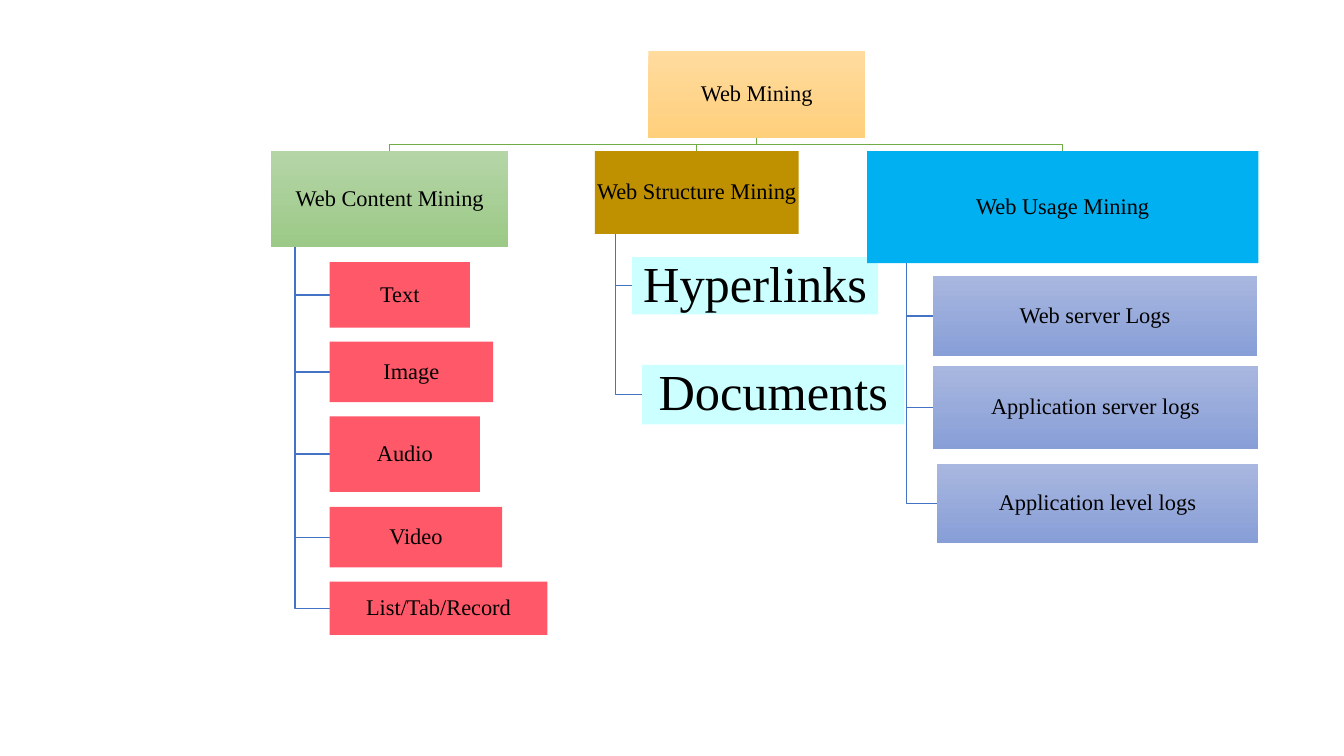
from dataclasses import dataclass

from pptx import Presentation
from pptx.dml.color import RGBColor
from pptx.enum.shapes import MSO_SHAPE
from pptx.enum.text import MSO_ANCHOR, PP_ALIGN
from pptx.util import Inches, Pt

COLORS = {
    "text": "000000",
    "root_line": "70AD47",
    "branch_line": "4472C4",
    "root": ("FFDB9E", "FFD07C"),
    "content": ("B5D5A7", "9CC987"),
    "content_leaf": "FF5969",
    "structure": "BF9000",
    "structure_leaf": "CCFFFF",
    "usage": "00B0F0",
    "usage_leaf": ("A8B7DF", "889ED7"),
}


@dataclass
class Node:
    text: str
    left: float
    top: float
    width: float
    height: float
    color: str
    size: int = 16
    inset: float = 0.01
    children: tuple = ()

    @property
    def center(self):
        return self.left + self.width / 2

    @property
    def middle(self):
        return self.top + self.height / 2

    @property
    def bottom(self):
        return self.top + self.height


def write_text(frame, text, *, font, size, color, inset):
    frame.word_wrap = True
    frame.vertical_anchor = MSO_ANCHOR.MIDDLE
    frame.margin_left = frame.margin_right = Inches(inset)
    frame.margin_top = frame.margin_bottom = Inches(inset)
    paragraph = frame.paragraphs[0]
    paragraph.alignment = PP_ALIGN.CENTER
    paragraph.line_spacing = 0.9
    run = paragraph.add_run()
    run.text = text
    run.font.name = font
    run.font.size = Pt(size)
    run.font.color.rgb = RGBColor.from_string(color)


class TreeDiagram:
    font = "Times New Roman"
    line_width = Pt(1)

    def __init__(self, slide):
        self.slide = slide

    def elbow(self, points, color):
        """Draw an open line through points given in inches."""
        start, *rest = [(Inches(x), Inches(y)) for x, y in points]
        builder = self.slide.shapes.build_freeform(*start)
        builder.add_line_segments(rest, close=False)
        shape = builder.convert_to_shape()
        shape.shadow.inherit = False
        shape.fill.background()
        shape.line.color.rgb = RGBColor.from_string(COLORS[color])
        shape.line.width = self.line_width

    def box(self, node):
        shape = self.slide.shapes.add_shape(
            MSO_SHAPE.RECTANGLE, Inches(node.left), Inches(node.top),
            Inches(node.width), Inches(node.height))
        shape.shadow.inherit = False
        shape.line.fill.background()
        self.fill(shape, COLORS[node.color])
        write_text(shape.text_frame, node.text, font=self.font, size=node.size,
                   color=COLORS["text"], inset=node.inset)

    def fill(self, shape, color):
        """Fill with one color, or top to bottom with a pair of colors."""
        if isinstance(color, str):
            shape.fill.solid()
            shape.fill.fore_color.rgb = RGBColor.from_string(color)
            return
        shape.fill.gradient()
        shape.fill.gradient_angle = 270
        for stop, stop_color in zip(shape.fill.gradient_stops, color):
            stop.color.rgb = RGBColor.from_string(stop_color)

    def root_lines(self, root):
        for branch in root.children:
            bend = (root.bottom + branch.top) / 2
            self.elbow([(root.center, root.bottom), (root.center, bend),
                        (branch.center, bend), (branch.center, branch.top)], "root_line")

    def branch_lines(self, branch):
        trunk = branch.left + branch.width / 10
        for leaf in branch.children:
            self.elbow([(trunk, branch.bottom), (trunk, leaf.middle),
                        (leaf.left, leaf.middle)], "branch_line")

    def boxes(self, node):
        self.box(node)
        for child in node.children:
            self.boxes(child)


CONTENT_LEAVES = tuple(
    Node(text, 3.27, top, width, height, "content_leaf")
    for text, top, width, height in (
        ("Text", 2.6, 1.39, 0.65),
        ("Image", 3.39, 1.62, 0.6),
        ("Audio", 4.13, 1.49, 0.75),
        ("Video", 5.03, 1.71, 0.6),
        ("List/Tab/Record", 5.77, 2.16, 0.53),
    ))
STRUCTURE_LEAVES = (
    Node("Hyperlinks", 6.27, 2.55, 2.44, 0.57, "structure_leaf", 36, 0.03),
    Node("Documents", 6.37, 3.62, 2.6, 0.59, "structure_leaf", 36, 0.03),
)
USAGE_LEAVES = (
    Node("Web server Logs", 9.25, 2.74, 3.22, 0.79, "usage_leaf"),
    Node("Application server logs", 9.25, 3.63, 3.23, 0.83, "usage_leaf"),
    Node("Application level logs", 9.29, 4.6, 3.19, 0.79, "usage_leaf"),
)
WEB_MINING = Node("Web Mining", 6.43, 0.51, 2.15, 0.86, "root", children=(
    Node("Web Content Mining", 2.69, 1.5, 2.35, 0.95, "content", children=CONTENT_LEAVES),
    Node("Web Structure Mining", 5.9, 1.5, 2.02, 0.82, "structure", children=STRUCTURE_LEAVES),
    Node("Web Usage Mining", 8.6, 1.5, 3.88, 1.11, "usage", children=USAGE_LEAVES),
))


def main():
    presentation = Presentation()
    presentation.slide_width = Inches(13.33)
    presentation.slide_height = Inches(7.5)
    diagram = TreeDiagram(presentation.slides.add_slide(presentation.slide_layouts[6]))
    diagram.root_lines(WEB_MINING)
    for branch in WEB_MINING.children:
        diagram.branch_lines(branch)
    diagram.boxes(WEB_MINING)
    presentation.save("out.pptx")


if __name__ == "__main__":
    main()
